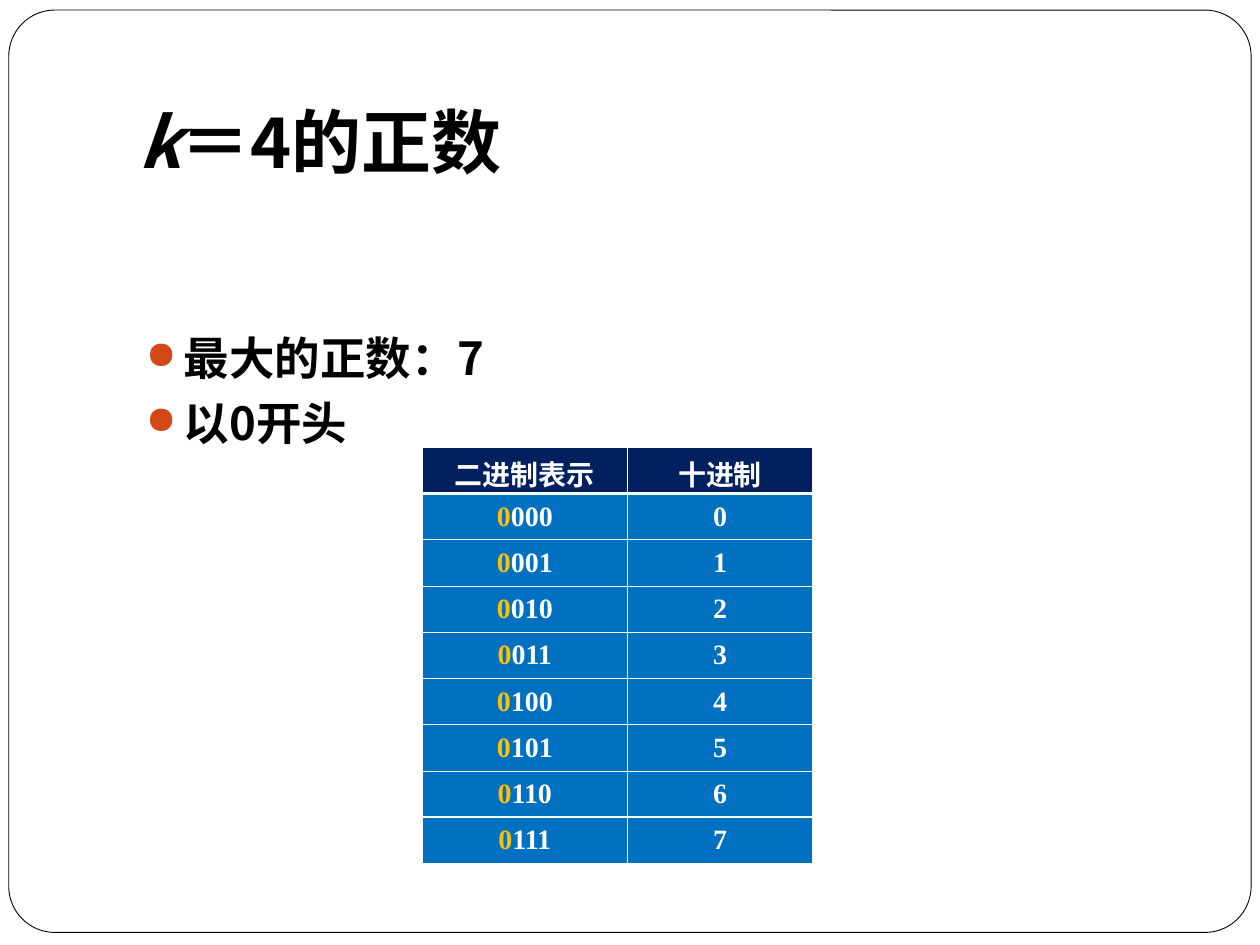
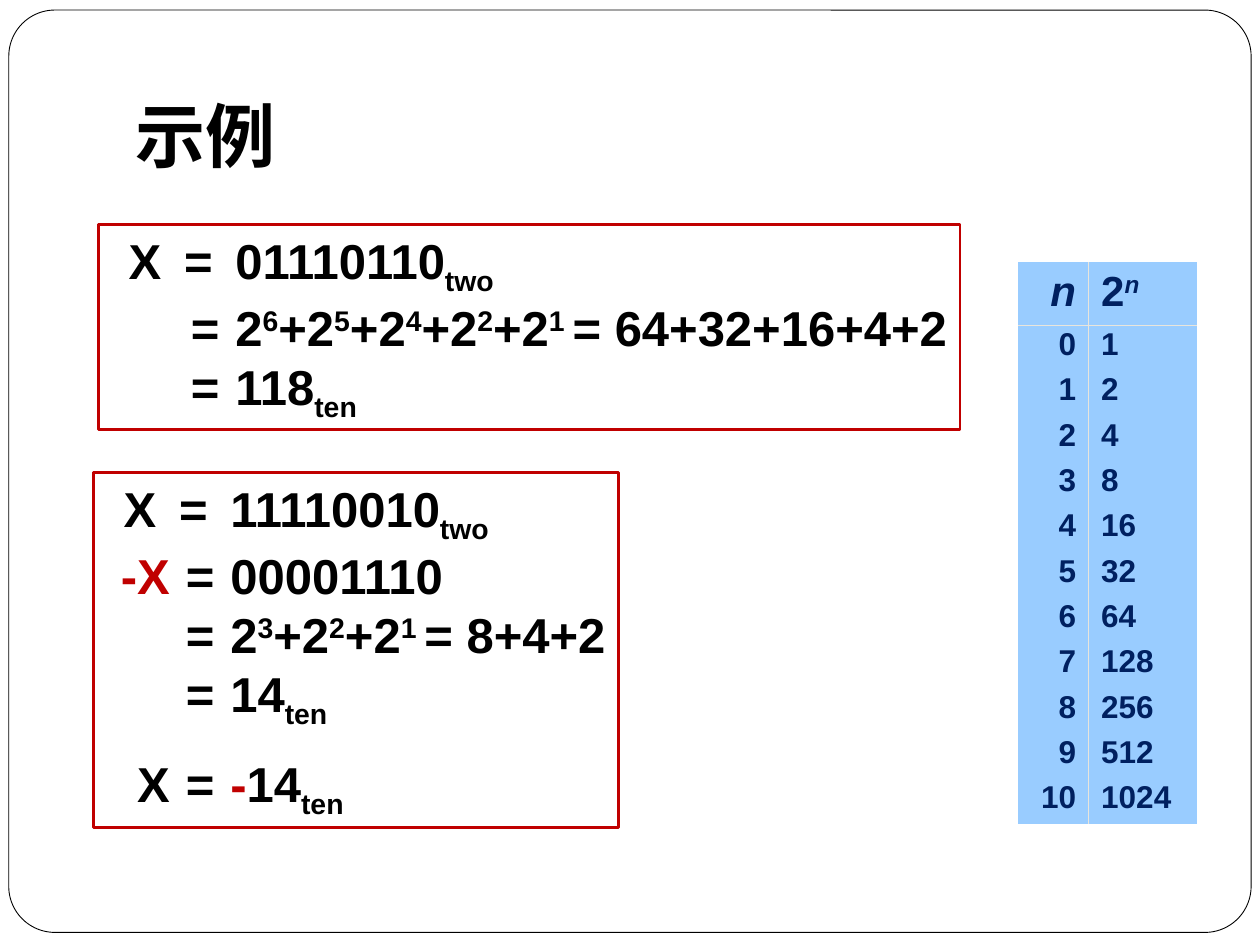
"""Builds two slides on signed binary numbers: positive values for k = 4 and worked examples."""
import lxml.etree
import pptx
import pptx.dml.color
import pptx.enum.shapes
import pptx.enum.text
import pptx.oxml.ns
import pptx.util

Inches, Pt = pptx.util.Inches, pptx.util.Pt
qn = pptx.oxml.ns.qn
MSO_SHAPE = pptx.enum.shapes.MSO_SHAPE
ANCHOR = pptx.enum.text.MSO_ANCHOR
ALIGN = pptx.enum.text.PP_ALIGN

CJK = "Noto Sans CJK SC"
COLORS = {
    "ink": "000000", "paper": "FFFFFF", "red": "C00000", "bullet": "D34817",
    "navy": "002060", "blue": "0070C0", "gold": "FFC000",
    "sky": "99CCFF", "sand": "E9E5DC",
}
FONTS = {
    "title": {"name": CJK, "size": Pt(40), "bold": True},
    "point": {"name": CJK, "size": Pt(26), "bold": True},
    "binary": {"name": "Times New Roman", "size": Pt(16), "bold": True},
    "working": {"name": "Arial", "size": Pt(28), "bold": True},
    "power_head": {"name": "Arial", "size": Pt(24), "bold": True},
    "power": {"name": "Arial", "size": Pt(18), "bold": True},
}
BASELINES = {"sup": "30000", "sub": "-25000"}
WORKING_TABS = [(0.51, "r"), (0.75, "ctr"), (0.99, "l")]


def powers(exponents, total):
    """Return the runs of a sum of powers of two and its terms."""
    runs = []
    for place, exponent in enumerate(exponents):
        runs += ["+2" if place else "\t\t=\t2", (exponent, "sup")]
    return runs + [total]


POSITIVE_TITLE = [("k", "italic"), "＝4的正数"]
POSITIVE_POINTS = [["最大的正数：7"], ["以0开头"]]
BINARY_ROWS = [[["二进制表示"], ["十进制"]]] + [
    [[("0", "gold"), f"{value:03b}"], [str(value)]] for value in range(8)
]

EXAMPLE_TITLE = ["示例"]
EXAMPLES = [
    ((0.78, 1.78, 6.84, 1.63), [
        ["\tX \t= \t01110110", ("two", "sub")],
        powers(["6", "5", "4", "2", "1 "], "= 64+32+16+4+2"),
        ["\t\t=\t118", ("ten", "sub")],
    ]),
    ((0.74, 3.75, 4.17, 2.82), [
        ["\tX \t= \t11110010", ("two", "sub")],
        ["\t", ("-X\t", "red"), "=\t00001110"],
        powers(["3", "2", "1 "], "= 8+4+2"),
        ["\t\t=\t14", ("ten", "sub")],
        ["\tX\t=\t", ("-", "red"), "14", ("ten", "sub")],
    ]),
]
POWER_ROWS = [[[("n", "italic")], ["2", ("n", "italic sup")]]] + [
    [[str(n)], [str(2 ** n)]] for n in range(11)
]


def rgb(name):
    return pptx.dml.color.RGBColor.from_string(COLORS[name])


def add_xml(parent, tag, **attributes):
    return lxml.etree.SubElement(parent, qn(tag), attributes)


def set_all(target, values):
    for name, value in values.items():
        setattr(target, name, value)


def write_runs(paragraph, runs, font, color="ink"):
    for item in runs:
        text, marks = (item, "") if isinstance(item, str) else item
        run = paragraph.add_run()
        run.text = text
        set_all(run.font, FONTS[font])
        run.font.color.rgb = rgb(color)
        properties = run.font._element
        add_xml(properties, "a:ea", typeface=CJK)
        for mark in marks.split():
            if mark in BASELINES:
                properties.set("baseline", BASELINES[mark])
            elif mark == "italic":
                run.font.italic = True
            else:
                run.font.color.rgb = rgb(mark)


def write_lines(frame, lines, font):
    for place, runs in enumerate(lines):
        paragraph = frame.add_paragraph() if place else frame.paragraphs[0]
        paragraph.alignment = ALIGN.LEFT
        write_runs(paragraph, runs, font)
    return frame.paragraphs


def add_outline(slide, kind, place, color, weight):
    shape = slide.shapes.add_shape(kind, *map(Inches, place))
    shape.shadow.inherit = False
    shape.fill.background()
    shape.line.color.rgb = rgb(color)
    shape.line.width = Pt(weight)
    return shape


def start_slide(deck, title, left, top):
    slide = deck.slides.add_slide(deck.slide_layouts[6])
    page_frame = add_outline(slide, MSO_SHAPE.ROUNDED_RECTANGLE, (0.07, 0.08, 9.86, 7.32), "ink", 0.5)
    page_frame.adjustments[0] = 0.05
    page_frame.fill.solid()
    page_frame.fill.fore_color.rgb = rgb("paper")
    heading = slide.shapes.add_textbox(*map(Inches, (left, top, 8.5, 1.25))).text_frame
    set_all(heading, {"word_wrap": True, "vertical_anchor": ANCHOR.BOTTOM, "margin_bottom": Inches(0.1)})
    write_lines(heading, [title], "title")
    return slide


def add_points(slide, points, place):
    body = slide.shapes.add_textbox(*map(Inches, place)).text_frame
    body.word_wrap = True
    for paragraph in write_lines(body, points, "point"):
        paragraph.space_before = Pt(5.8)
        properties = paragraph._p.get_or_add_pPr()
        for name, indent in {"marL": 0.3, "indent": -0.3}.items():
            properties.set(name, str(Inches(indent)))
        add_xml(add_xml(properties, "a:buClr"), "a:srgbClr", val=COLORS["bullet"])
        add_xml(properties, "a:buSzPct", val="85000")
        add_xml(properties, "a:buChar", char="●")


def add_working(slide, place, lines):
    box = add_outline(slide, MSO_SHAPE.RECTANGLE, place, "red", 1.5)
    set_all(box.text_frame, {
        "word_wrap": False, "vertical_anchor": ANCHOR.TOP,
        "auto_size": pptx.enum.text.MSO_AUTO_SIZE.SHAPE_TO_FIT_TEXT,
    })
    paragraphs = write_lines(box.text_frame, lines, "working")
    for paragraph in paragraphs:
        stops = add_xml(paragraph._p.get_or_add_pPr(), "a:tabLst")
        for position, side in WORKING_TABS:
            add_xml(stops, "a:tab", pos=str(Inches(position)), algn=side)
    return paragraphs


def add_border(cell, side, color, weight):
    attributes = {"w": str(Pt(weight))} if weight else {}
    line = add_xml(cell._tc.get_or_add_tcPr(), f"a:ln{side}", **attributes)
    if weight:
        add_xml(add_xml(line, "a:solidFill"), "a:srgbClr", val=COLORS[color])
    else:
        add_xml(line, "a:noFill")


def add_grid(slide, rows, corner, widths, heights, rule_color, verticals, horizontals, style_cell):
    """Add a table whose rules are given as one weight per grid line."""
    size = (sum(widths), sum(heights))
    grid = slide.shapes.add_table(len(rows), len(widths), *map(Inches, corner + size)).table
    for column, width in zip(grid.columns, widths):
        column.width = Inches(width)
    for r, (cells, height) in enumerate(zip(rows, heights)):
        grid.rows[r].height = Inches(height)
        for c, runs in enumerate(cells):
            cell = grid.cell(r, c)
            edges = {"L": verticals[c], "R": verticals[c + 1], "T": horizontals[r], "B": horizontals[r + 1]}
            for side, weight in edges.items():
                add_border(cell, side, rule_color, weight)
            style_cell(cell, runs, r, c)


def fill_cell(cell, color):
    cell.fill.solid()
    cell.fill.fore_color.rgb = rgb(color)


def style_binary(cell, runs, r, c):
    fill_cell(cell, "blue" if r else "navy")
    set_all(cell, {"vertical_anchor": ANCHOR.MIDDLE, "margin_left": Inches(0.08), "margin_right": Inches(0.08)})
    paragraph = cell.text_frame.paragraphs[0]
    paragraph.alignment = ALIGN.CENTER
    write_runs(paragraph, runs, "binary", "paper")


def style_power(cell, runs, r, c):
    fill_cell(cell, "sky")
    paragraph = cell.text_frame.paragraphs[0]
    spacing = {"space_before": Pt(4.5), "line_spacing": 0.85} if r else {"space_before": Pt(6)}
    set_all(paragraph, {"alignment": ALIGN.LEFT if c else ALIGN.RIGHT, **spacing})
    write_runs(paragraph, runs, "power" if r else "power_head", "navy")


def main():
    deck = pptx.Presentation()
    set_all(deck, {"slide_width": Inches(10), "slide_height": Inches(7.5)})

    positives = start_slide(deck, POSITIVE_TITLE, 1, 0.3)
    thin, thick = 0.45, 1.47
    add_grid(positives, BINARY_ROWS, (3.35, 3.55), (1.63, 1.47), [0.32] * 9, "paper",
             [thin] * 3, [thin, thick] + [thin] * 6 + [thick, thin], style_binary)
    add_points(positives, POSITIVE_POINTS, (1.06, 2.57, 7.99, 1.18))

    examples = start_slide(deck, EXAMPLE_TITLE, 0.98, 0.25)
    for place, lines in EXAMPLES:
        paragraphs = add_working(examples, place, lines)
    paragraphs[-1].line_spacing = 1.35
    add_grid(examples, POWER_ROWS, (8.08, 2.08), (0.56, 0.86), [0.5] + [0.36] * 11, "sand",
             [0, thin, 0], [0, thin] + [0] * 11, style_power)

    deck.save("out.pptx")


if __name__ == "__main__":
    main()
